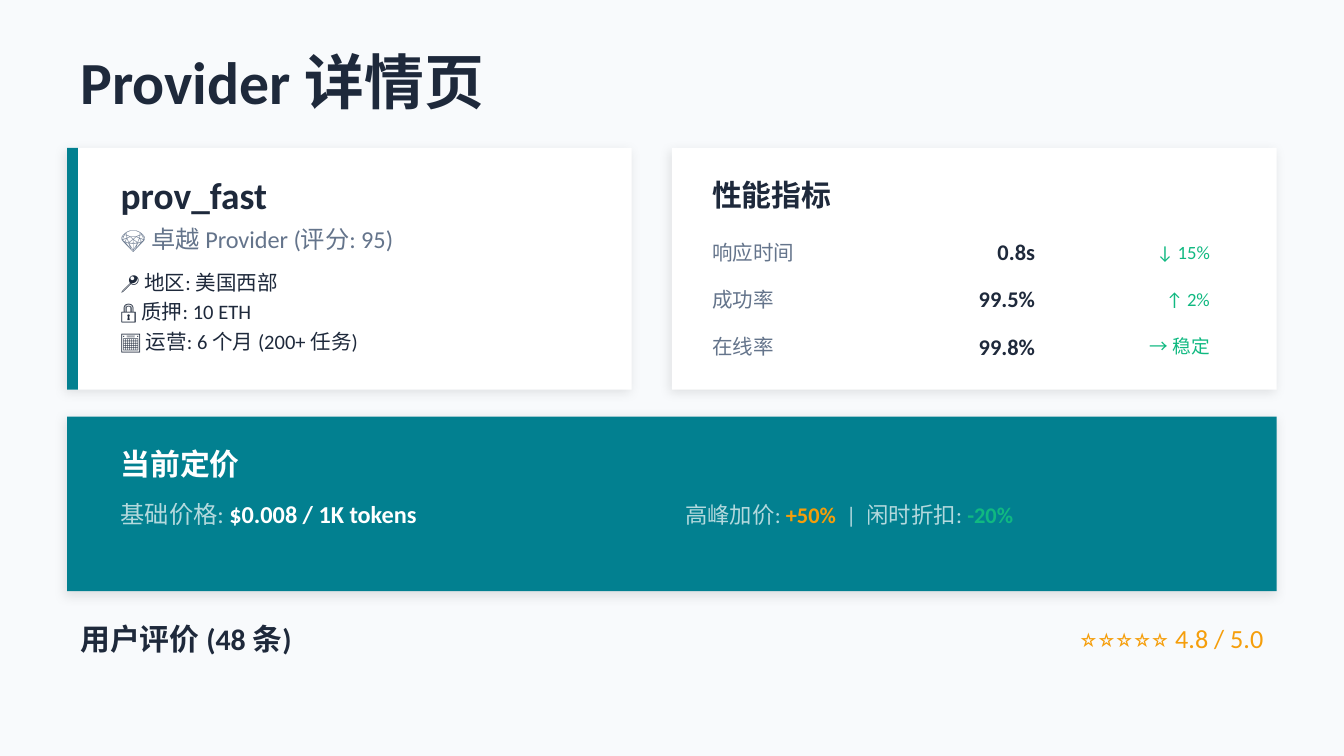
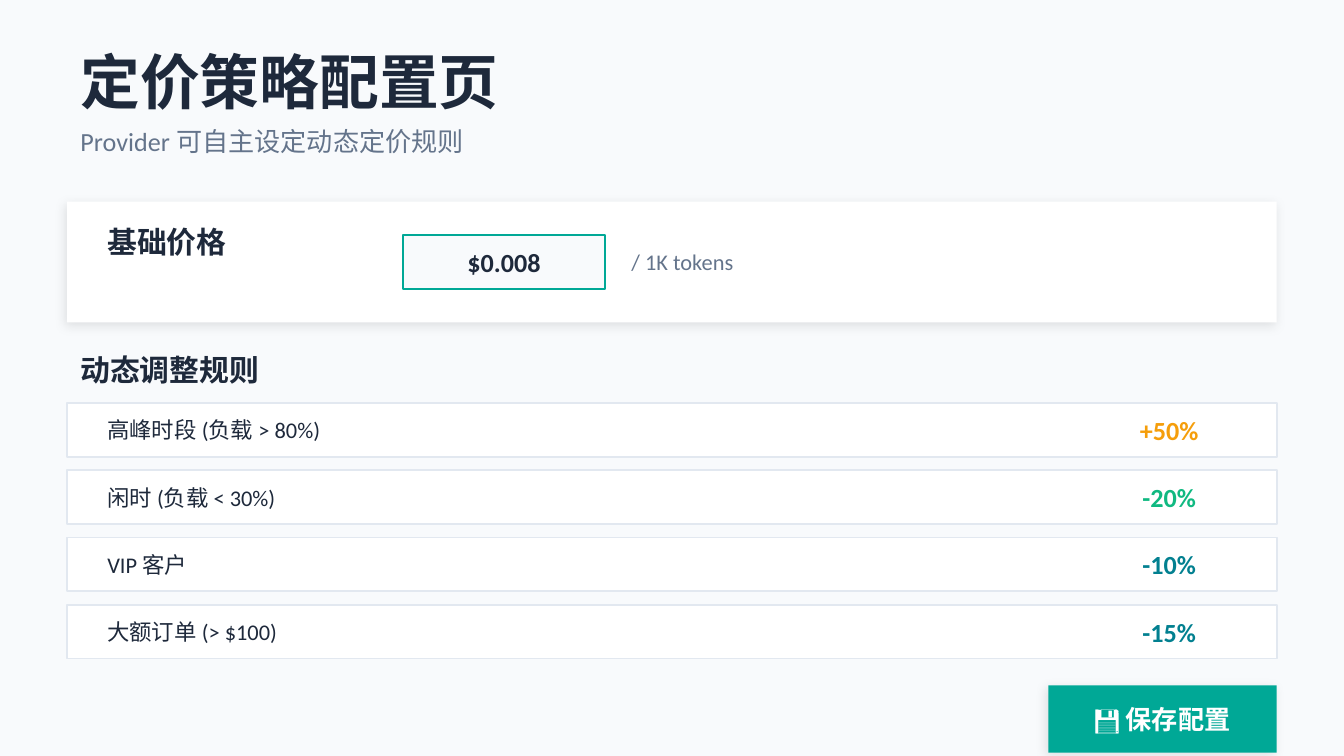
"""Build two slides: a provider detail page and a pricing strategy page."""
from lxml import etree
from pptx import Presentation
from pptx import util as u
from pptx.dml.color import RGBColor
from pptx.enum import shapes, text
from pptx.oxml.ns import qn

FONT = "Calibri"
PAPER, WHITE, BORDER = "F8FAFC", "FFFFFF", "E2E8F0"
INK, MUTED = "1E293B", "64748B"
TEAL, MINT, GREEN, AMBER = "028090", "00A896", "10B981", "F59E0B"
LEFT, WIDTH = 0.5, 9
ALIGN = {"l": text.PP_ALIGN.LEFT, "c": text.PP_ALIGN.CENTER, "r": text.PP_ALIGN.RIGHT}

TITLE = {"size": 32, "bold": True}
HEADING = {"size": 16, "bold": True}
VALUE = {"size": 14, "bold": True, "align": "c"}
FAINT = {"color": WHITE, "alpha": 70}

PROVIDER = {
    "title": "Provider 详情页",
    "name": "prov_fast",
    "grade": "💎 卓越 Provider (评分: 95)",
    "facts": ["📍 地区: 美国西部", "🔒 质押: 10 ETH", "📅 运营: 6 个月 (200+ 任务)"],
    "metrics_heading": "性能指标",
    "metrics": [
        ("响应时间", "0.8s", "↓ 15%"),
        ("成功率", "99.5%", "↑ 2%"),
        ("在线率", "99.8%", "→ 稳定"),
    ],
    "price_heading": "当前定价",
    "base_price": [
        ("基础价格: ", FAINT),
        ("$0.008 / 1K tokens", {"bold": True}),
    ],
    "adjustments": [
        ("高峰加价: ", FAINT),
        ("+50%", {"color": AMBER, "bold": True}),
        ("  |  闲时折扣: ", FAINT),
        ("-20%", {"color": GREEN, "bold": True}),
    ],
    "reviews": "用户评价 (48 条)",
    "rating": "⭐⭐⭐⭐⭐ 4.8 / 5.0",
}

PRICING = {
    "title": "定价策略配置页",
    "subtitle": "Provider 可自主设定动态定价规则",
    "base_heading": "基础价格",
    "base_value": "$0.008",
    "base_unit": "/ 1K tokens",
    "rules_heading": "动态调整规则",
    "rules": [
        ("高峰时段 (负载 > 80%)", "+50%", AMBER),
        ("闲时 (负载 < 30%)", "-20%", GREEN),
        ("VIP 客户", "-10%", TEAL),
        ("大额订单 (> $100)", "-15%", TEAL),
    ],
    "save": "💾 保存配置",
}


def paint(fmt, color, alpha=None):
    """Give a fill a solid colour, with an opacity in percent if wanted."""
    fmt.solid()
    fmt.fore_color.rgb = RGBColor.from_string(color)
    if alpha is not None:
        clr = next(fmt._xPr.iter(qn("a:srgbClr")))
        etree.SubElement(clr, qn("a:alpha"), val=str(alpha * 1000))


def add_shadow(sp):
    """Add the soft card shadow to a shape."""
    effects = sp._element.spPr.find(qn("a:effectLst"))
    outer = etree.SubElement(
        effects, qn("a:outerShdw"), blurRad=str(u.Pt(6)), dist=str(u.Pt(2)),
        dir=str(135 * 60000), algn="bl", rotWithShape="0")
    clr = etree.SubElement(outer, qn("a:srgbClr"), val="000000")
    etree.SubElement(clr, qn("a:alpha"), val="10000")


def add_box(s, x, y, w, h, fill, line=None, shadow=False):
    """Add a rectangle with an optional border and shadow."""
    sp = s.shapes.add_shape(shapes.MSO_SHAPE.RECTANGLE, *map(u.Inches, (x, y, w, h)))
    sp.shadow.inherit = False
    paint(sp.fill, fill)
    if line:
        paint(sp.line.fill, line)
        sp.line.width = u.Pt(1)
    else:
        sp.line.fill.background()
    if shadow:
        add_shadow(sp)


def add_text(s, x, y, w, h, content, size, color=INK, bold=False, align="l", spacing=None):
    """Add text from a string, a list of lines, or a list of (text, format) runs."""
    tf = s.shapes.add_textbox(*map(u.Inches, (x, y, w, h))).text_frame
    frame = {"word_wrap": True, "vertical_anchor": text.MSO_ANCHOR.MIDDLE}
    for name, value in frame.items():
        setattr(tf, name, value)
    if isinstance(content, str):
        content = [content]
    lines = [[(line, {})] for line in content] if isinstance(content[0], str) else [content]
    for i, runs in enumerate(lines):
        p = tf.paragraphs[0] if i == 0 else tf.add_paragraph()
        p.alignment = ALIGN[align]
        if spacing:
            p.line_spacing = u.Pt(spacing)
        for words, style in runs:
            r = p.add_run()
            r.text = words
            font = {"name": FONT, "size": u.Pt(size), "bold": style.get("bold", bold)}
            for name, value in font.items():
                setattr(r.font, name, value)
            paint(r.font.fill, style.get("color", color), style.get("alpha"))


def add_page(prs, title):
    """Add a blank slide with the shared background and title."""
    s = prs.slides.add_slide(prs.slide_layouts[6])
    paint(s.background.fill, PAPER)
    add_text(s, LEFT, 0.3, WIDTH, 0.6, title, **TITLE)
    return s


def build_provider(prs, d):
    """Draw the provider detail page."""
    s = add_page(prs, d["title"])
    top, height, inner = 1.1, 1.8, 0.8
    add_box(s, LEFT, top, 4.2, height, WHITE, shadow=True)
    add_box(s, LEFT, top, 0.08, height, TEAL)
    add_text(s, inner, 1.3, 3.5, 0.3, d["name"], 20, bold=True)
    add_text(s, inner, 1.65, 3.5, 0.25, d["grade"], 13, MUTED)
    add_text(s, inner, 2, 3.5, 0.6, d["facts"], 11, spacing=16)

    add_box(s, 5, top, 4.5, height, WHITE, shadow=True)
    add_text(s, 5.2, 1.3, 4.1, 0.3, d["metrics_heading"], **HEADING)
    for i, (label, value, trend) in enumerate(d["metrics"]):
        y = 1.75 + 0.35 * i
        add_text(s, 5.2, y, 1.5, 0.25, label, 11, MUTED)
        add_text(s, 6.8, y, 1, 0.25, value, 12, bold=True, align="r")
        add_text(s, 7.9, y, 1.2, 0.25, trend, 10, GREEN, align="r")

    add_box(s, LEFT, 3.1, WIDTH, 1.3, TEAL, shadow=True)
    add_text(s, inner, 3.3, 2, 0.3, d["price_heading"], color=WHITE, **HEADING)
    add_text(s, inner, 3.7, 4, 0.25, d["base_price"], 13, WHITE)
    add_text(s, 5, 3.7, 4.3, 0.25, d["adjustments"], 12, WHITE)
    add_text(s, LEFT, 4.6, 4.5, 0.3, d["reviews"], **HEADING)
    add_text(s, 5.2, 4.6, 4.3, 0.3, d["rating"], 14, AMBER, align="r")


def build_pricing(prs, d):
    """Draw the pricing strategy page."""
    s = add_page(prs, d["title"])
    inner = 0.7
    add_text(s, LEFT, 0.9, WIDTH, 0.3, d["subtitle"], 14, MUTED)
    add_box(s, LEFT, 1.5, WIDTH, 0.9, WHITE, shadow=True)
    add_text(s, inner, 1.65, 2, 0.3, d["base_heading"], **HEADING)
    field = (3, 1.75, 1.5, 0.4)
    add_box(s, *field, PAPER, line=MINT)
    add_text(s, *field, d["base_value"], **VALUE)
    add_text(s, 4.6, 1.85, 1, 0.2, d["base_unit"], 12, MUTED)

    add_text(s, LEFT, 2.6, WIDTH, 0.3, d["rules_heading"], **HEADING)
    for i, (label, change, color) in enumerate(d["rules"]):
        y = 3 + 0.5 * i
        add_box(s, LEFT, y, WIDTH, 0.4, WHITE, line=BORDER)
        add_text(s, inner, y + 0.1, 5, 0.2, label, 12)
        add_text(s, 8.2, y + 0.05, 1, 0.3, change, color=color, **VALUE)

    button = (7.8, 5.1, 1.7, 0.5)
    add_box(s, *button, MINT, shadow=True)
    add_text(s, *button, d["save"], color=WHITE, **VALUE)


def main():
    """Build and save the deck."""
    prs = Presentation()
    prs.slide_width = u.Inches(10)
    prs.slide_height = prs.slide_width * 9 // 16
    build_provider(prs, PROVIDER)
    build_pricing(prs, PRICING)
    prs.save("out.pptx")


if __name__ == "__main__":
    main()
